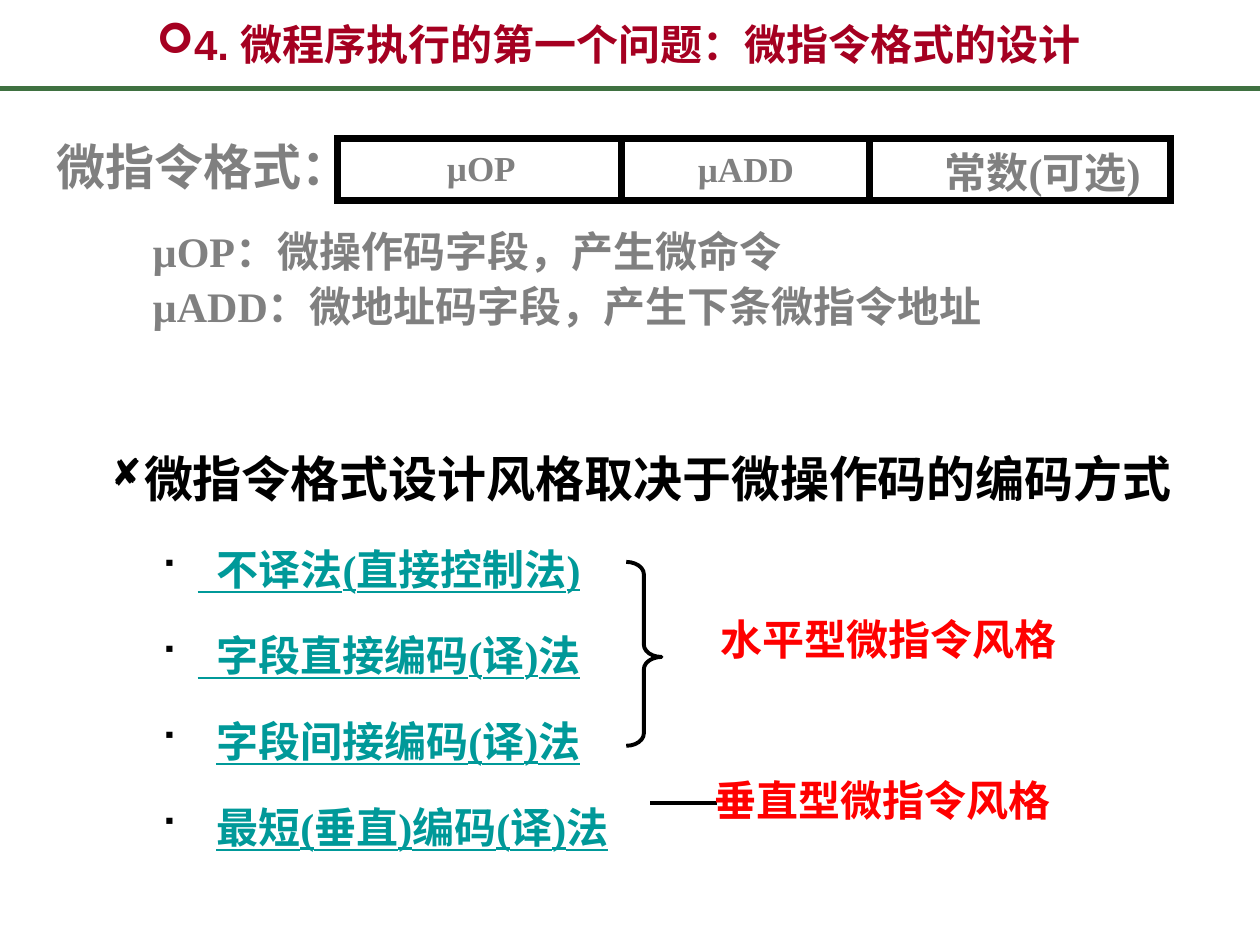
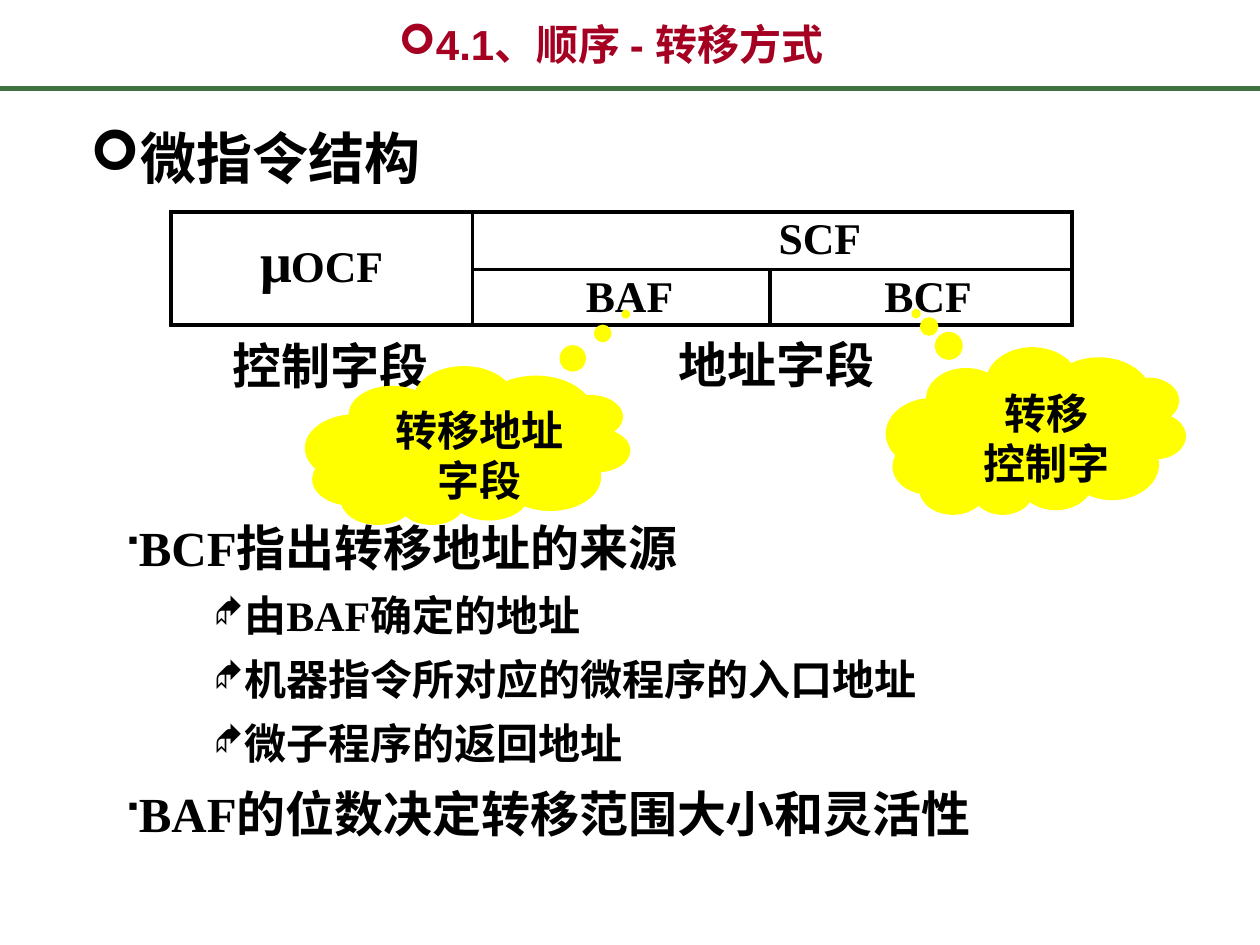
from dataclasses import dataclass

from lxml import etree
from pptx import Presentation
from pptx.dml.color import RGBColor
from pptx.enum.shapes import MSO_CONNECTOR, MSO_SHAPE
from pptx.enum.text import MSO_ANCHOR, MSO_AUTO_SIZE, PP_ALIGN
from pptx.oxml.ns import qn
from pptx.shapes.base import BaseShape
from pptx.slide import Slide
from pptx.text.text import TextFrame
from pptx.util import Inches, Pt

STRAIGHT = MSO_CONNECTOR.STRAIGHT
RECTANGLE, BRACE, CLOUD = MSO_SHAPE.RECTANGLE, MSO_SHAPE.RIGHT_BRACE, MSO_SHAPE.CLOUD_CALLOUT
LEFT, CENTER = PP_ALIGN.LEFT, PP_ALIGN.CENTER
TOP, BOTTOM = MSO_ANCHOR.TOP, MSO_ANCHOR.BOTTOM
TITLE_ONLY = 5

Box = tuple[float, float, float, float]
Point = tuple[float, float]


@dataclass(frozen=True)
class Theme:
    title_font: str = "Arial"
    body_font: str = "Times New Roman"
    bullet_font: str = "Wingdings"
    title: str = "A50021"
    rule: str = "3F7141"
    black: str = "000000"
    gray: str = "808080"
    link: str = "009999"
    red: str = "FF0000"
    yellow: str = "FFFF00"
    large: int = 32
    heading: int = 28
    text: int = 24
    cell: int = 25
    small: int = 20


THEME = Theme()


@dataclass(frozen=True)
class Line:
    """One paragraph; margin and hang are inches, space_before is points."""
    text: str
    size: int = THEME.text
    color: str = THEME.black
    font: str = THEME.body_font
    align: PP_ALIGN = LEFT
    spacing: float = 1.0
    space_before: float = 0
    underline: bool = False
    bullet: str = ""
    bullet_color: str = THEME.black
    bullet_percent: int = 100
    level: int = 0
    margin: float = 0
    hang: float = 0


@dataclass(frozen=True)
class Label:
    box: Box
    lines: list[Line]
    wrap: bool = True
    insets: Point = (0.1, 0.05)


@dataclass(frozen=True)
class Cloud:
    box: Box
    lines: list[Line]
    adjustments: Point


@dataclass(frozen=True)
class Ruling:
    """A horizontal rule: its top, its crossings and its stretches between crossings."""
    top: float
    crossings: list[float]
    stretches: list[Point]


def apply(target: object, values: dict[str, object]) -> None:
    for name, value in values.items():
        setattr(target, name, value)


def inches(values: tuple[float, ...]) -> list[Inches]:
    return [Inches(value) for value in values]


def set_insets(frame: TextFrame, insets: Point) -> None:
    side, edge = inches(insets)
    apply(frame, {"margin_left": side, "margin_right": side,
                  "margin_top": edge, "margin_bottom": edge})


def write_lines(frame: TextFrame, lines: list[Line]) -> None:
    for index, line in enumerate(lines):
        paragraph = frame.add_paragraph() if index else frame.paragraphs[0]
        apply(paragraph, {
            "alignment": line.align, "level": line.level, "line_spacing": line.spacing,
            "space_before": Pt(line.space_before if index else 0),
        })
        run = paragraph.add_run()
        run.text = line.text
        apply(run.font, {"size": Pt(line.size), "bold": True, "name": line.font,
                         "underline": line.underline or None})
        run.font.color.rgb = RGBColor.from_string(line.color)
        properties = paragraph._p.get_or_add_pPr()
        properties.set("marL", str(Inches(line.margin)))
        properties.set("indent", str(Inches(line.hang)))
        if line.bullet:
            color = etree.SubElement(properties, qn("a:buClr"))
            etree.SubElement(color, qn("a:srgbClr")).set("val", line.bullet_color)
            size = etree.SubElement(properties, qn("a:buSzPct"))
            size.set("val", str(line.bullet_percent * 1000))
            font = etree.SubElement(properties, qn("a:buFont"))
            font.set("typeface", THEME.bullet_font)
            font.set("charset", "2")
            etree.SubElement(properties, qn("a:buChar")).set("char", line.bullet)
        else:
            etree.SubElement(properties, qn("a:buNone"))


def add_label(slide: Slide, label: Label) -> None:
    frame = slide.shapes.add_textbox(*inches(label.box)).text_frame
    frame.word_wrap = label.wrap
    set_insets(frame, label.insets)
    write_lines(frame, label.lines)


def add_line(slide: Slide, start: Point, end: Point, color: str, width: float) -> None:
    connector = slide.shapes.add_connector(STRAIGHT, *inches(start + end))
    connector.line.color.rgb = RGBColor.from_string(color)
    connector.line.width = Pt(width)
    etree.SubElement(connector._element.spPr, qn("a:effectLst"))


def add_outline(slide: Slide, kind: MSO_SHAPE, box: Box, width: float) -> BaseShape:
    shape = slide.shapes.add_shape(kind, *inches(box))
    shape.shadow.inherit = False
    shape.fill.background()
    shape.line.color.rgb = RGBColor.from_string(THEME.black)
    shape.line.width = Pt(width)
    return shape


def add_bar(slide: Slide, box: Box) -> None:
    bar = add_outline(slide, RECTANGLE, box, 0.75)
    bar.fill.solid()
    bar.fill.fore_color.rgb = RGBColor.from_string(THEME.black)


def add_cloud(slide: Slide, cloud: Cloud) -> None:
    """Draw a cloud turned upside down, with its text kept upright."""
    shape = slide.shapes.add_shape(CLOUD, *inches(cloud.box))
    shape.shadow.inherit = False
    shape.rotation = 180
    shape.fill.solid()
    shape.fill.fore_color.rgb = RGBColor.from_string(THEME.yellow)
    shape.line.fill.background()
    for index, value in enumerate(cloud.adjustments):
        shape.adjustments[index] = value
    apply(shape.text_frame, {"vertical_anchor": TOP, "word_wrap": True})
    shape.text_frame._txBody.bodyPr.set("rot", "10800000")
    write_lines(shape.text_frame, cloud.lines)


def add_ruled_fields(slide: Slide, rulings: list[Ruling], bar: float) -> None:
    """Draw each rule, and uprights down from the row above at the crossings they share."""
    for ruling in rulings:
        for left in ruling.crossings:
            add_bar(slide, (left, ruling.top, bar, bar))
        for left, right in ruling.stretches:
            add_bar(slide, (left + bar, ruling.top, right - left - bar, bar))
    for upper, lower in zip(rulings, rulings[1:]):
        for left in upper.crossings:
            add_bar(slide, (left, upper.top + bar, bar, lower.top - upper.top - bar))


def add_titled_slide(presentation: Presentation, text: str, box: Box, anchor: MSO_ANCHOR,
                     insets: Point) -> Slide:
    slide = presentation.slides.add_slide(presentation.slide_layouts[TITLE_ONLY])
    add_line(slide, (0, 0.7), (10, 0.7), THEME.rule, 3)
    title = slide.shapes.title
    apply(title, dict(zip(("left", "top", "width", "height"), inches(box))))
    apply(title.text_frame, {"auto_size": MSO_AUTO_SIZE.NONE, "vertical_anchor": anchor,
                             "word_wrap": True})
    set_insets(title.text_frame, insets)
    write_lines(title.text_frame, [Line(text, color=THEME.title, font=THEME.title_font,
                                        align=CENTER, spacing=0.87, bullet="➢",
                                        bullet_color=THEME.title)])
    return slide


def method(text: str, margin: float = 0.69) -> Line:
    return Line(text, color=THEME.link, underline=True, spacing=1.5, space_before=6,
                bullet="■", level=1, margin=margin, hang=0.39 - margin)


def field_label(text: str, box: Box, size: int = THEME.small) -> Label:
    return Label(box, [Line(text, size, THEME.gray, align=CENTER, spacing=1.1)])


def style_label(text: str, box: Box) -> Label:
    return Label(box, [Line(text, color=THEME.red, align=CENTER)])


def tight_label(text: str, box: Box, size: int, insets: Point = (0, 0)) -> Label:
    return Label(box, [Line(text, size, spacing=0.7)], wrap=False, insets=insets)


def point(text: str) -> Line:
    return Line(text, THEME.heading, spacing=1.1, space_before=5.6, bullet="■", level=1,
                margin=0.25)


def subpoint(text: str) -> Line:
    return Line(text, spacing=1.1, space_before=4.8, bullet="◆", bullet_percent=80, level=2,
                margin=1.17, hang=-0.19)


def build_format_slide(presentation: Presentation) -> None:
    slide = add_titled_slide(presentation, "4. 微程序执行的第一个问题：微指令格式的设计",
                             (0.84, 0.17, 8.14, 0.41), TOP, (0.07, 0.03))
    frame = add_outline(slide, RECTANGLE, (2.68, 1.1, 6.61, 0.49), 4)
    etree.SubElement(frame.line._get_or_add_ln(), qn("a:miter")).set("lim", "800000")
    for divider, top in ((4.93, 1.08), (6.9, 1.11)):
        add_line(slide, (divider, top), (divider, top + 0.51), THEME.black, 4)
    brace = add_outline(slide, BRACE, (4.97, 4.46, 0.28, 1.46), 2.25)
    brace.adjustments[0], brace.adjustments[1] = 0.352, 0.517
    add_line(slide, (5.16, 6.37), (5.69, 6.37), THEME.black, 2.25)
    labels = [
        Label((0.35, 0.99, 2.73, 0.6),
              [Line("微指令格式：", THEME.heading, THEME.gray, spacing=1.1)]),
        field_label(" µOP", (2.76, 1.08, 2.05, 0.44)),
        field_label("µADD", (5.04, 1.09, 1.76, 0.44)),
        field_label("常数(可选)", (7.23, 1.07, 2.09, 0.55), THEME.text),
        Label((1.03, 1.7, 8.19, 0.97), [
            Line(text, color=THEME.gray, spacing=1.1)
            for text in (" µOP：微操作码字段，产生微命令",
                         " µADD：微地址码字段，产生下条微指令地址")]),
        Label((0.78, 3.28, 8.83, 3.51), [
            Line("微指令格式设计风格取决于微操作码的编码方式", THEME.heading, spacing=1.5,
                 bullet="◻"),
            method("  不译法(直接控制法)"),
            method("  字段直接编码(译)法"),
            method("字段间接编码(译)法", margin=0.84),
            method("最短(垂直)编码(译)法", margin=0.84)]),
        style_label("水平型微指令风格", (5.35, 4.82, 3.4, 0.67)),
        style_label("垂直型微指令风格", (5.39, 6.1, 3.23, 0.51)),
    ]
    for label in labels:
        add_label(slide, label)


def build_branch_slide(presentation: Presentation) -> None:
    slide = add_titled_slide(presentation, "4.1、顺序 - 转移方式",
                             (0.95, 0.15, 7.8, 0.45), BOTTOM, (0.1, 0.05))
    add_label(slide, Label((0.62, 0.88, 8.83, 0.87), [
        Line("微指令结构", THEME.large, spacing=1.1, bullet="➢", margin=0.2, hang=-0.2)]))
    left, control, branch, right = edges = [1.35, 3.74, 6.1, 8.5]
    add_ruled_fields(slide, [
        Ruling(1.67, [left, control, right], [(left, control), (control, right)]),
        Ruling(2.13, edges, [(control, branch), (branch, right)]),
        Ruling(2.57, edges, list(zip(edges, edges[1:]))),
    ], bar=0.02)
    for label in (
        tight_label("SCF", (6.18, 1.79, 0.66, 0.3), THEME.cell),
        tight_label("μ", (2.07, 1.94, 0.25, 0.39), THEME.large),
        tight_label("OCF", (2.31, 2.01, 0.74, 0.3), THEME.cell),
        tight_label("BAF", (4.65, 2.25, 0.7, 0.29), THEME.cell),
        tight_label("BCF", (7.02, 2.25, 0.7, 0.29), THEME.cell),
        tight_label("控制字段", (1.75, 2.74, 1.77, 0.43), THEME.heading, (0.1, 0.05)),
        tight_label("地址字段", (5.29, 2.73, 1.77, 0.43), THEME.heading, (0.1, 0.05)),
    ):
        add_label(slide, label)
    for cloud in (
        Cloud((2.42, 2.91, 2.58, 1.26), [Line("转移地址字段", align=CENTER)], (-0.487, 0.831)),
        Cloud((7.03, 2.76, 2.38, 1.33),
              [Line("转移", align=CENTER), Line("控制字", align=CENTER)], (0.399, 0.704)),
    ):
        add_cloud(slide, cloud)
    add_label(slide, Label((0.62, 4.01, 8.43, 2.81), [
        point("BCF指出转移地址的来源"),
        subpoint("由BAF确定的地址"),
        subpoint("机器指令所对应的微程序的入口地址"),
        subpoint("微子程序的返回地址"),
        point("BAF的位数决定转移范围大小和灵活性")]))


def main() -> None:
    presentation = Presentation()
    apply(presentation, {"slide_width": Inches(10), "slide_height": Inches(7.5)})
    build_format_slide(presentation)
    build_branch_slide(presentation)
    presentation.save("out.pptx")


if __name__ == "__main__":
    main()
